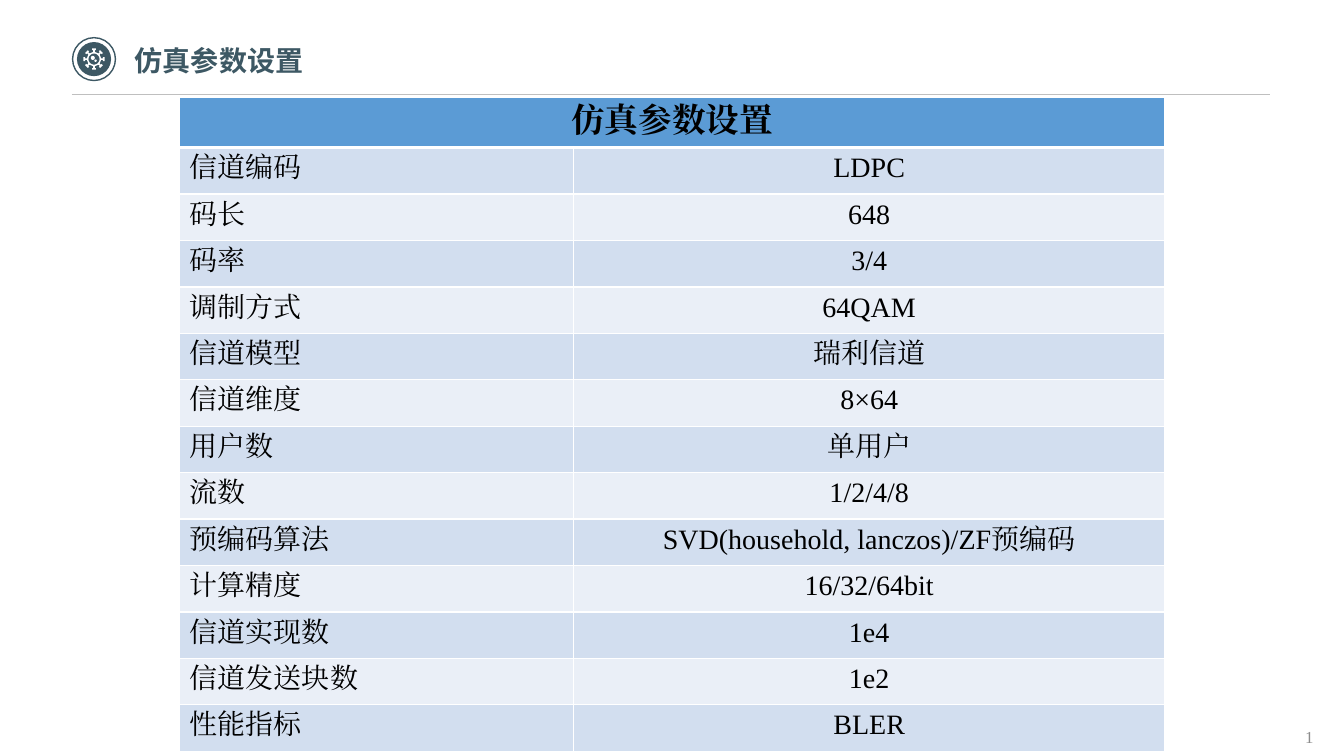
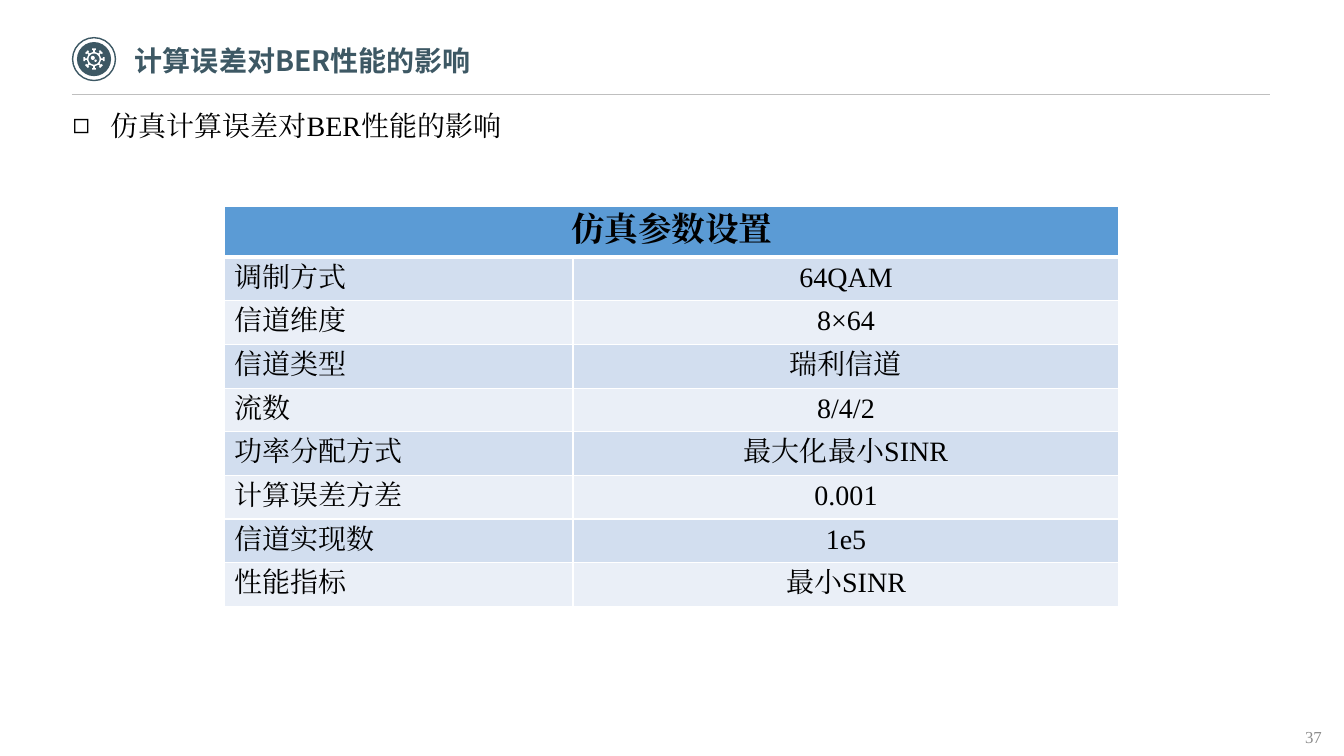
from dataclasses import dataclass
from math import cos, pi, sin

from lxml import etree
from pptx import Presentation
from pptx import util as u
from pptx.dml.color import RGBColor
from pptx.enum import shapes, text
from pptx.oxml import ns


@dataclass(frozen=True)
class Theme:
    """Colours, fonts and type sizes shared by the slides."""
    slate: str = "3D5864"
    rule: str = "BFBFBF"
    number: str = "8C8C8C"
    ink: str = "000000"
    white: str = "FFFFFF"
    header: str = "5B9BD5"
    bands: tuple = ("D2DEEF", "EAEFF7")
    title_font: str = "Noto Sans CJK SC"
    body_font: str = "Times New Roman"
    text_size: int = 20
    header_size: int = 24
    number_size: int = 12


THEME = Theme()
ALIGN = text.PP_ALIGN
HEADER_HEIGHT = 1.27
TITLE_ONLY, TITLE_AND_CONTENT = 5, 1


def rgb(colour):
    """Turn a hex string into a colour."""
    return RGBColor.from_string(colour)


def child(parent, tag, **attributes):
    """Append an XML element to a parent."""
    return etree.SubElement(parent, ns.qn(tag), attributes)


def add_run(paragraph, words, size, colour=THEME.ink, font=THEME.body_font, bold=False):
    """Add one formatted run, with the same font for both scripts."""
    run = paragraph.add_run()
    run.text = words
    run.font.size = u.Pt(size)
    run.font.bold = bold
    run.font.name = font
    run.font.color.rgb = rgb(colour)
    child(run._r.get_or_add_rPr(), "a:ea", typeface=font)


def place(shape, left, top, width, height):
    """Move and size a shape in centimetres."""
    shape.left, shape.top = u.Cm(left), u.Cm(top)
    shape.width, shape.height = u.Cm(width), u.Cm(height)


def set_frame(frame, anchor, left, right):
    """Set the wrapping, anchor and side margins of a text frame."""
    frame.word_wrap = True
    frame.auto_size = text.MSO_AUTO_SIZE.NONE
    frame.vertical_anchor = anchor
    frame.margin_left, frame.margin_right = u.Cm(left), u.Cm(right)
    frame.margin_top = frame.margin_bottom = u.Cm(0.13)


def paint(shape, fill=None, line=None):
    """Give a shape a flat fill or an outline."""
    shape.shadow.inherit = False
    if fill:
        shape.fill.solid()
        shape.fill.fore_color.rgb = rgb(fill)
    else:
        shape.fill.background()
    if line:
        shape.line.color.rgb = rgb(line)
        shape.line.width = u.Pt(1)
    else:
        shape.line.fill.background()


def circle_points(x, y, radius, count=24):
    """List points around a circle."""
    angles = [2 * pi * step / count for step in range(count)]
    return [(x + radius * cos(a), y + radius * sin(a)) for a in angles]


def gear_points(x, y, teeth=8):
    """List points around a gear with T-shaped teeth."""
    half = [(0.18, 0.02), (0.225, 0.02), (0.225, 0.05), (0.267, 0.05)]
    tooth = [(r, -t) for r, t in half] + half[::-1]
    angles = [2 * pi * step / teeth for step in range(teeth)]
    return [(x + r * cos(a) - t * sin(a), y + r * sin(a) + t * cos(a))
            for a in angles for r, t in tooth]


def add_gear_badge(slide, x=2.37, y=1.49):
    """Draw the gear in its ringed disc."""
    group = slide.shapes.add_group_shape()
    for radius, fill, line in ((0.54, None, THEME.slate), (0.43, THEME.slate, None)):
        disc = group.shapes.add_shape(
            shapes.MSO_SHAPE.OVAL, u.Cm(x - radius), u.Cm(y - radius),
            u.Cm(2 * radius), u.Cm(2 * radius))
        paint(disc, fill, line)
    contours = [gear_points(x, y), circle_points(x, y, 0.14),
                circle_points(x - 0.03, y - 0.03, 0.05),
                circle_points(x + 0.04, y + 0.04, 0.03)]
    builder = None
    for contour in contours:
        points = [(u.Cm(px), u.Cm(py)) for px, py in contour]
        if builder is None:
            builder = group.shapes.build_freeform(*points[0])
        else:
            builder.move_to(*points[0])
        builder.add_line_segments(points[1:], close=True)
    paint(builder.convert_to_shape(), THEME.white)


def add_rule(slide):
    """Draw the thin line under the title."""
    rule = slide.shapes.add_connector(
        shapes.MSO_CONNECTOR.STRAIGHT, u.Cm(1.81), u.Cm(2.37), u.Cm(32), u.Cm(2.37))
    rule.line.color.rgb = rgb(THEME.rule)
    rule.line.width = u.Pt(0.5)
    child(rule._element.spPr, "a:effectLst")


def add_number(slide, number):
    """Write the slide number in the corner."""
    box = slide.shapes.add_textbox(u.Cm(32.64), u.Cm(18.19), u.Cm(1.2), u.Cm(0.77))
    set_frame(box.text_frame, text.MSO_ANCHOR.TOP, 0.25, 0)
    add_run(box.text_frame.paragraphs[0], number, THEME.number_size, THEME.number)


def add_slide(presentation, layout, title, number):
    """Add a slide with the shared title, badge, rule and number."""
    slide = presentation.slides.add_slide(presentation.slide_layouts[layout])
    add_number(slide, number)
    add_gear_badge(slide)
    add_rule(slide)
    shape = slide.shapes.title
    place(shape, 3.4, 0.97, 18.34, 1.12)
    set_frame(shape.text_frame, text.MSO_ANCHOR.MIDDLE, 0, 0.25)
    paragraph = shape.text_frame.paragraphs[0]
    paragraph.alignment = ALIGN.LEFT
    add_run(paragraph, title, THEME.text_size, THEME.slate, THEME.title_font, True)
    return slide


def fill_body(slide, words):
    """Write one bulleted line in the body placeholder."""
    body = slide.placeholders[1]
    place(body, 1.83, 2.34, 30.2, 16.71)
    set_frame(body.text_frame, text.MSO_ANCHOR.TOP, 0, 0)
    paragraph = body.text_frame.paragraphs[0]
    paragraph.alignment = ALIGN.JUSTIFY
    paragraph.line_spacing = 1.3
    paragraph.space_before = u.Pt(0)
    properties = paragraph._p.get_or_add_pPr()
    properties.set("marL", str(u.Cm(0.95)))
    properties.set("indent", str(-u.Cm(0.95)))
    child(properties, "a:buFont", typeface=THEME.body_font)
    child(properties, "a:buChar", char="◻")
    add_run(paragraph, words, THEME.text_size)


def set_borders(cell, top, bottom):
    """Give a cell white borders ahead of its fill."""
    properties = cell._tc.get_or_add_tcPr()
    widths = {"a:lnL": 1, "a:lnR": 1, "a:lnT": top, "a:lnB": bottom}
    for index, (tag, width) in enumerate(widths.items()):
        line = etree.Element(ns.qn(tag), w=str(u.Pt(width)))
        child(child(line, "a:solidFill"), "a:srgbClr", val=THEME.white)
        properties.insert(index, line)


def write_cell(cell, words, alignment, size=THEME.text_size, bold=False):
    """Write one run in a table cell."""
    paragraph = cell.text_frame.paragraphs[0]
    paragraph.alignment = alignment
    add_run(paragraph, words, size, bold=bold)


def add_parameter_table(slide, left, top, widths, row_height, parameters):
    """Add a banded table of names and values under a merged heading."""
    count = len(parameters) + 1
    table = slide.shapes.add_table(
        count, 2, u.Cm(left), u.Cm(top), u.Cm(sum(widths)),
        u.Cm(HEADER_HEIGHT + row_height * len(parameters))).table
    for column, width in zip(table.columns, widths):
        column.width = u.Cm(width)
    for index, row in enumerate(table.rows):
        row.height = u.Cm(row_height if index else HEADER_HEIGHT)
        for cell in row.cells:
            cell.fill.solid()
            cell.fill.fore_color.rgb = rgb(
                THEME.bands[(index - 1) % 2] if index else THEME.header)
            set_borders(cell, 3 if index == 1 else 1, 1 if index else 3)
    heading = table.cell(0, 0)
    heading.merge(table.cell(0, 1))
    write_cell(heading, "仿真参数设置", ALIGN.CENTER, THEME.header_size, True)
    for index, (name, value) in enumerate(parameters, 1):
        write_cell(table.cell(index, 0), name, ALIGN.JUSTIFY)
        write_cell(table.cell(index, 1), value, ALIGN.CENTER)


def main():
    """Build both slides and save them."""
    presentation = Presentation()
    presentation.slide_width, presentation.slide_height = u.Cm(33.87), u.Cm(19.05)

    slide = add_slide(presentation, TITLE_ONLY, "仿真参数设置", "1")
    add_parameter_table(slide, 4.53, 2.45, (9.93, 14.89), 1.17, [
        ("信道编码", "LDPC"),
        ("码长", "648"),
        ("码率", "3/4"),
        ("调制方式", "64QAM"),
        ("信道模型", "瑞利信道"),
        ("信道维度", "8×64"),
        ("用户数", "单用户"),
        ("流数", "1/2/4/8"),
        ("预编码算法", "SVD(household, lanczos)/ZF预编码"),
        ("计算精度", "16/32/64bit"),
        ("信道实现数", "1e4"),
        ("信道发送块数", "1e2"),
        ("性能指标", "BLER"),
    ])

    slide = add_slide(presentation, TITLE_AND_CONTENT, "计算误差对BER性能的影响", "37")
    fill_body(slide, "仿真计算误差对BER性能的影响")
    add_parameter_table(slide, 5.66, 5.21, (8.78, 13.76), 1.1, [
        ("调制方式", "64QAM"),
        ("信道维度", "8×64"),
        ("信道类型", "瑞利信道"),
        ("流数", "8/4/2"),
        ("功率分配方式", "最大化最小SINR"),
        ("计算误差方差", "0.001"),
        ("信道实现数", "1e5"),
        ("性能指标", "最小SINR"),
    ])

    presentation.save("out.pptx")


if __name__ == "__main__":
    main()
